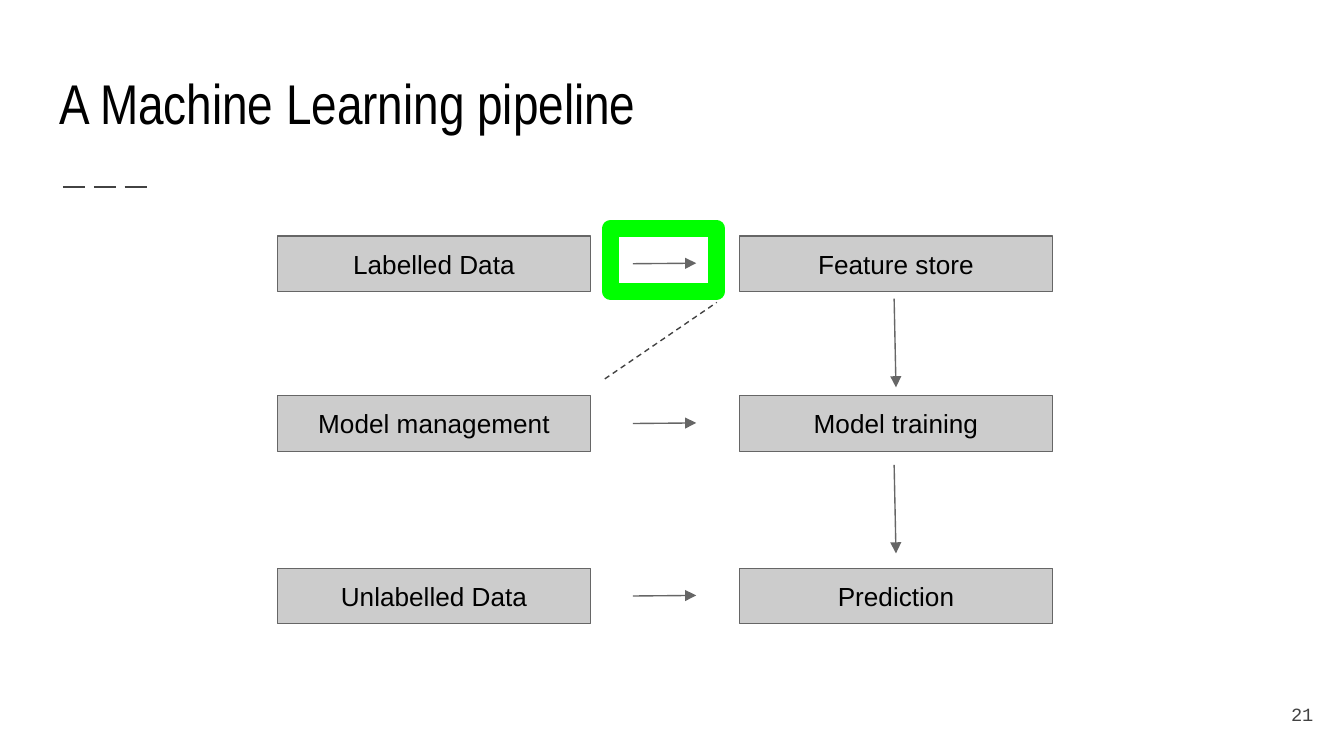
from lxml import etree
from pptx import Presentation
from pptx.dml.color import RGBColor
from pptx.enum.dml import MSO_LINE
from pptx.enum.shapes import MSO_CONNECTOR, MSO_SHAPE
from pptx.enum.text import MSO_ANCHOR, MSO_AUTO_SIZE, PP_ALIGN
from pptx.oxml.ns import qn
from pptx.util import Pt

RECT = MSO_SHAPE.RECTANGLE
LINE = MSO_CONNECTOR.STRAIGHT
TOP, MIDDLE = MSO_ANCHOR.TOP, MSO_ANCHOR.MIDDLE
LEFT, MID, RIGHT = PP_ALIGN.LEFT, PP_ALIGN.CENTER, PP_ALIGN.RIGHT
DASH, LONG = MSO_LINE.DASH, MSO_LINE.LONG_DASH

TITLE = "A Machine Learning pipeline"
PAGE = "21"
STEPS = [
    ("Labelled Data", "Feature store"),
    ("Model management", "Model training"),
    ("Unlabelled Data", "Prediction"),
]
ROWS = (126.4, 212, 304.4)
COLS = (148.5, 396)
WIDE, HIGH = 168, 29.8
DROPS = (160, 249)
BLACK, DARK, GRAY, PALE, GREEN = "000000", "424242", "666666", "CCCCCC", "00FF00"


def color(code):
    return RGBColor.from_string(code)


def write(shape, text, face, size, code, align, anchor):
    frame = shape.text_frame
    frame.text = text
    frame.word_wrap = True
    frame.auto_size = MSO_AUTO_SIZE.NONE
    frame.vertical_anchor = anchor
    frame.margin_left = frame.margin_right = Pt(7.2)
    frame.margin_top = frame.margin_bottom = Pt(7.2)
    para = frame.paragraphs[0]
    para.alignment = align
    font = para.runs[0].font
    font.name, font.size = face, Pt(size)
    font.color.rgb = color(code)


def box(left, top, width, height, edge, weight, fill=None):
    shape = slide.shapes.add_shape(RECT, Pt(left), Pt(top), Pt(width), Pt(height))
    shape.shadow.inherit = False
    if fill:
        shape.fill.solid()
        shape.fill.fore_color.rgb = color(fill)
    else:
        shape.fill.background()
    shape.line.color.rgb = color(edge)
    shape.line.width = Pt(weight)
    return shape


def rule(x1, y1, x2, y2, code, weight=0.75, dash=None, arrow=False):
    link = slide.shapes.add_connector(LINE, Pt(x1), Pt(y1), Pt(x2), Pt(y2))
    link.line.color.rgb = color(code)
    link.line.width = Pt(weight)
    if dash:
        link.line.dash_style = dash
    if arrow:
        etree.SubElement(link.line._get_or_add_ln(), qn("a:tailEnd"), type="triangle")
    etree.SubElement(link._element.spPr, qn("a:effectLst"))


deck = Presentation()
deck.slide_width, deck.slide_height = Pt(720), Pt(405)
slide = deck.slides.add_slide(deck.slide_layouts[5])

rule(33.75, 100.2, 79, 100.2, DARK, 1.5, LONG)

title = slide.shapes.title
title.left, title.top, title.width, title.height = Pt(24.5), Pt(29.5), Pt(671), Pt(57.6)
write(title, TITLE, "Arial Narrow", 30, BLACK, LEFT, TOP)

page = slide.shapes.add_textbox(Pt(667.5), Pt(367.2), Pt(43.2), Pt(31))
write(page, PAGE, "Courier New", 10, DARK, RIGHT, MIDDLE)

for top, names in zip(ROWS, STEPS):
    for left, name in zip(COLS, names):
        step = box(left, top, WIDE, HIGH, GRAY, 0.75, PALE)
        write(step, name, "Arial", 14, BLACK, MID, MIDDLE)
    y = top + HIGH / 2
    rule(339, y, 373, y - 0.3, GRAY, arrow=True)

for top in DROPS:
    rule(479, top, 480, top + 47.5, GRAY, arrow=True)

rule(324, 203, 384, 162, DARK, dash=DASH)
box(327, 122.4, 57, 33.6, GREEN, 9)

deck.save("out.pptx")
